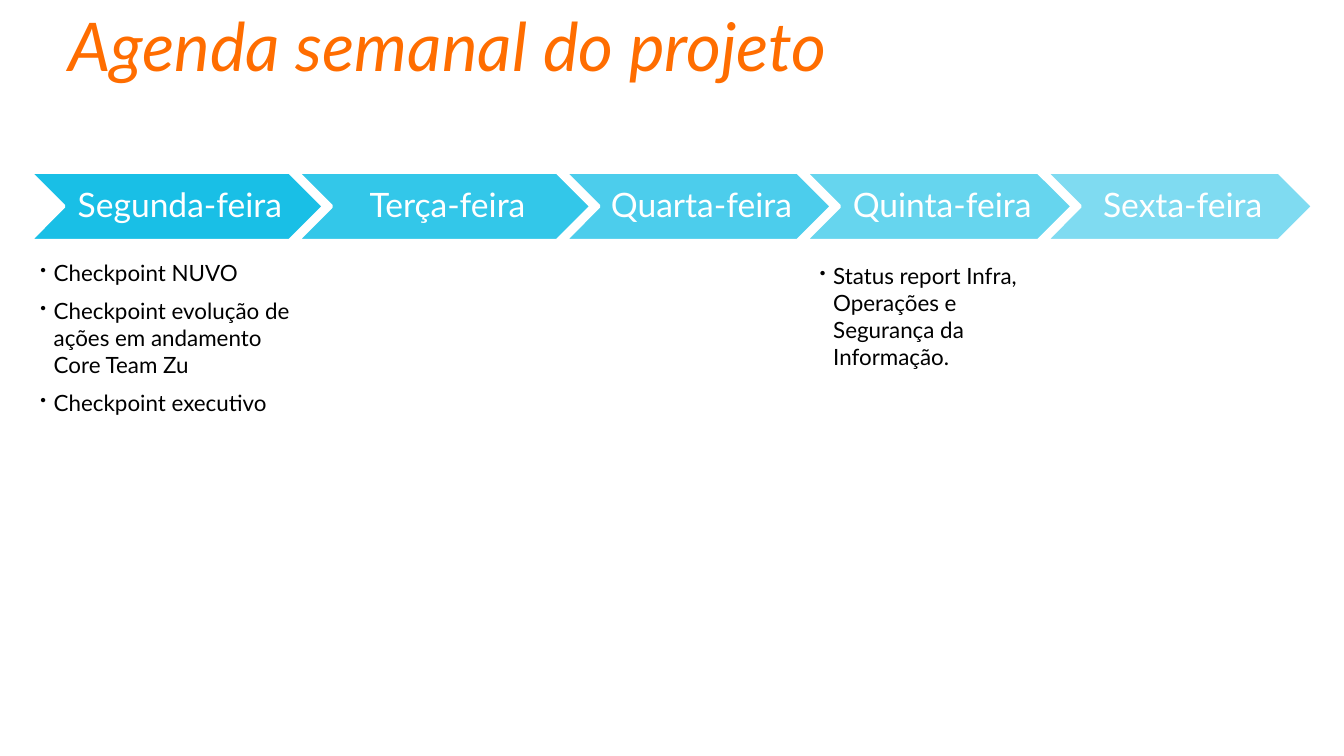
from lxml import etree
from pptx import Presentation
from pptx.dml.color import RGBColor
from pptx.enum.shapes import MSO_SHAPE
from pptx.enum.text import MSO_ANCHOR, PP_ALIGN
from pptx.oxml.ns import qn
from pptx.util import Pt

CHEVRON = MSO_SHAPE.CHEVRON
MIDDLE, TOP = MSO_ANCHOR.MIDDLE, MSO_ANCHOR.TOP
CENTER = PP_ALIGN.CENTER

FONT = "Lato"
ORANGE, CYAN, BLACK, WHITE = "FF6D00", "00B9E4", "000000", "FFFFFF"

# Weekday, chevron width, fill opacity in percent
WEEKDAYS = [
    ("Segunda-feira", 157.7, 90),
    ("Terça-feira", 157.7, 80),
    ("Quarta-feira", 143.3, 70),
    ("Quinta-feira", 143.3, 60),
    ("Sexta-feira", 143.3, 50),
]
CHEVRON_LEFT, CHEVRON_TOP, CHEVRON_HEIGHT = 15.8, 92.2, 36.7
CHEVRON_OVERLAP = 14.4

MONDAY_TASKS = [
    "Checkpoint NUVO",
    "Checkpoint evolução de ações em andamento Core Team Zu",
    "Checkpoint executivo",
]
THURSDAY_TASKS = ["Status report Infra, Operações e Segurança da Informação."]


def color(hex_code):
    return RGBColor.from_string(hex_code)


def style_font(para, size, hex_code, italic=False):
    for span in para.runs:
        span.font.name = FONT
        span.font.size = Pt(size)
        span.font.italic = italic
        span.font.color.rgb = color(hex_code)


def set_frame(frame, anchor, left=0, other=0):
    frame.word_wrap = True
    frame.vertical_anchor = anchor
    frame.margin_left = Pt(left)
    frame.margin_top = frame.margin_right = frame.margin_bottom = Pt(other)


def add_text_box(page, left, top, width, height):
    box = page.shapes.add_textbox(Pt(left), Pt(top), Pt(width), Pt(height))
    set_frame(box.text_frame, TOP)
    return box.text_frame


def add_title(page, text):
    frame = add_text_box(page, 36.7, 21.6, 646.6, 56.2)
    frame.text = text
    para = frame.paragraphs[0]
    para.line_spacing = Pt(24)
    style_font(para, 36, ORANGE, italic=True)


def add_bullet(para):
    properties = para._p.get_or_add_pPr()
    properties.set("marL", str(Pt(7.2)))
    properties.set("indent", str(-Pt(7.2)))
    bullet_color = etree.SubElement(properties, qn("a:buClr"))
    etree.SubElement(bullet_color, qn("a:srgbClr"), val=BLACK)
    etree.SubElement(properties, qn("a:buSzPct"), val="75000")
    etree.SubElement(properties, qn("a:buChar"), char="•")


def add_task_list(page, tasks, left, top, width, height):
    frame = add_text_box(page, left, top, width, height)
    frame.text = "\n".join(tasks)
    for para in frame.paragraphs:
        add_bullet(para)
        para.space_after = Pt(6)
        style_font(para, 12, BLACK)


def add_chevron(page, label, left, width, opacity):
    chevron = page.shapes.add_shape(
        CHEVRON, Pt(left), Pt(CHEVRON_TOP), Pt(width), Pt(CHEVRON_HEIGHT))
    chevron.shadow.inherit = False
    chevron.fill.solid()
    chevron.fill.fore_color.rgb = color(CYAN)
    fill_color = chevron._element.spPr.find(qn("a:solidFill"))[0]
    etree.SubElement(fill_color, qn("a:alpha"), val=str(opacity * 1000))
    chevron.line.color.rgb = color(WHITE)
    chevron.line.width = Pt(2)

    frame = chevron.text_frame
    set_frame(frame, MIDDLE, left=5.8, other=2.2)
    frame.text = label
    para = frame.paragraphs[0]
    para.alignment = CENTER
    para.line_spacing = 0.9
    style_font(para, 18, WHITE)


def main():
    deck = Presentation()
    deck.slide_width, deck.slide_height = Pt(720), Pt(405)
    page = deck.slides.add_slide(deck.slide_layouts[6])

    add_title(page, "Agenda semanal do projeto")

    # Weekday chevrons, each overlapping the one before
    left = CHEVRON_LEFT
    for label, width, opacity in WEEKDAYS:
        add_chevron(page, label, left, width, opacity)
        left += width - CHEVRON_OVERLAP

    # Tasks below their weekdays
    add_task_list(page, MONDAY_TASKS, 21.6, 139, 134.6, 147.6)
    add_task_list(page, THURSDAY_TASKS, 439.2, 140.4, 125.3, 146.2)

    deck.save("out.pptx")


if __name__ == "__main__":
    main()
